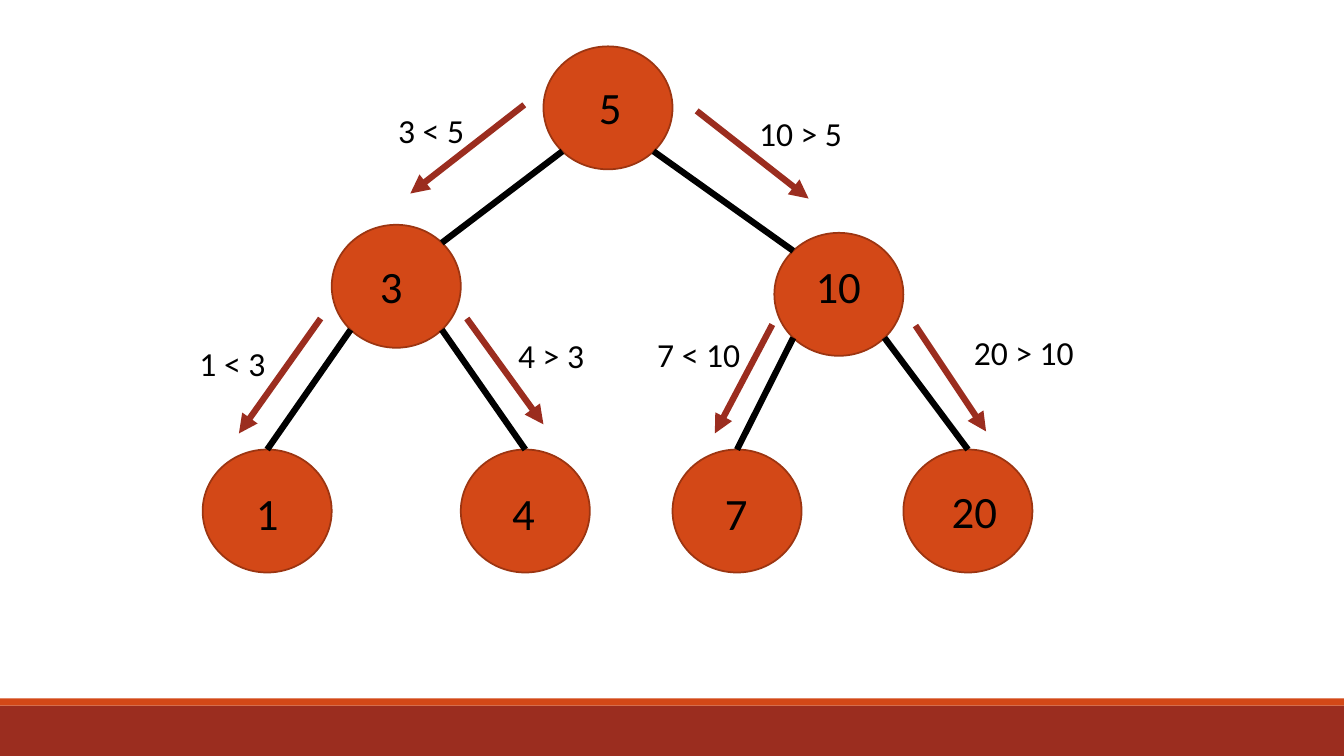
from dataclasses import dataclass
from math import sqrt

from lxml.etree import SubElement
from pptx import Presentation
from pptx.dml.color import RGBColor
from pptx.enum.shapes import MSO_CONNECTOR, MSO_SHAPE
from pptx.enum.text import MSO_AUTO_SIZE
from pptx.oxml.ns import qn
from pptx.util import Inches, Pt

ORANGE, DARK_RED, OUTLINE, BLACK = "D34817", "9B2D1F", "9C3511", "000000"
NODE_WIDTH, NODE_HEIGHT = 1.28, 1.22
Point = tuple[float, float]


@dataclass
class Node:
    key: str
    left: float
    top: float
    key_at: Point

    def point(self, across: float, down: float) -> Point:
        """Point at the given multiples of the radii from the centre."""
        return (self.left + NODE_WIDTH / 2 * (1 + across),
                self.top + NODE_HEIGHT / 2 * (1 + down))


@dataclass
class Step:
    """One branch of the tree with its comparison and search arrow."""
    parent: str
    child: str
    comparison: str
    comparison_at: Point
    arrow_start: Point
    arrow_end: Point
    comparison_width: float = 1.13


LEAF_TOP = 4.46
NODES = [
    Node("5", 5.39, 0.46, (5.84, 0.74)),
    Node("3", 3.29, 2.23, (3.67, 2.52)),
    Node("10", 7.68, 2.31, (7.99, 2.52)),
    Node("4", 4.57, LEAF_TOP, (4.98, 4.77)),
    Node("1", 2.01, LEAF_TOP, (2.44, 4.77)),
    Node("7", 6.67, LEAF_TOP, (7.09, 4.77)),
    Node("20", 8.96, LEAF_TOP, (9.34, 4.75)),
]
STEPS = [
    Step("5", "3", "3 < 5", (3.85, 1.04), (5.2, 1.04), (4.07, 1.92)),
    Step("5", "10", "10 > 5", (7.43, 1.07), (6.91, 1.1), (8.02, 1.97)),
    Step("3", "1", "1 < 3", (1.88, 3.35), (3.18, 3.16), (2.37, 4.3)),
    Step("3", "4", "4 > 3", (5.04, 3.27), (4.63, 3.16), (5.39, 4.21)),
    Step("10", "7", "7 < 10", (6.42, 3.26), (7.66, 3.22), (7.09, 4.3)),
    Step("10", "20", "20 > 10", (9.56, 3.24), (9.08, 3.23), (9.78, 4.28), 1.34),
]

presentation = Presentation()
presentation.slide_width, presentation.slide_height = Inches(13.33), Inches(7.5)
slide = presentation.slides.add_slide(presentation.slide_layouts[6])


def color(value: str) -> RGBColor:
    return RGBColor.from_string(value)


def add_filled(kind: MSO_SHAPE, left: float, top: float, width: float,
               height: float, fill: str, outline: str | None = None) -> None:
    shape = slide.shapes.add_shape(
        kind, Inches(left), Inches(top), Inches(width), Inches(height))
    shape.shadow.inherit = False
    shape.fill.solid()
    shape.fill.fore_color.rgb = color(fill)
    if outline:
        shape.line.color.rgb = color(outline)
        shape.line.width = Pt(1.25)
    else:
        shape.line.fill.background()


def add_text(text: str, at: Point, *, width: float, height: float,
             size: float, font: str = "Calibri", ink: str = BLACK) -> None:
    box = slide.shapes.add_textbox(
        Inches(at[0]), Inches(at[1]), Inches(width), Inches(height))
    frame = box.text_frame
    frame.word_wrap = True
    frame.auto_size = MSO_AUTO_SIZE.SHAPE_TO_FIT_TEXT
    run = frame.paragraphs[0].add_run()
    run.text = text
    run.font.name, run.font.size = font, Pt(size)
    run.font.color.rgb = color(ink)


def add_line(start: Point, end: Point, ink: str, arrow: bool = False) -> None:
    line = slide.shapes.add_connector(
        MSO_CONNECTOR.STRAIGHT, *(Inches(value) for value in start + end))
    line.line.color.rgb = color(ink)
    line.line.width = Pt(4.5)
    if arrow:
        SubElement(line.line._get_or_add_ln(), qn("a:tailEnd"), type="triangle")
    SubElement(line._element.spPr, qn("a:effectLst"))


# Footer bars
add_filled(MSO_SHAPE.RECTANGLE, 0, 7, 13.33, 0.5, DARK_RED)
add_filled(MSO_SHAPE.RECTANGLE, 0, 6.93, 13.33, 0.07, ORANGE)

# Tree nodes
for node in NODES:
    add_filled(MSO_SHAPE.OVAL, node.left, node.top, NODE_WIDTH, NODE_HEIGHT,
               ORANGE, OUTLINE)

# Branches leave a parent diagonally; leaves are met at the top
node_by_key = {node.key: node for node in NODES}
diagonal = sqrt(0.5)
for step in STEPS:
    parent, child = node_by_key[step.parent], node_by_key[step.child]
    side = diagonal if child.left > parent.left else -diagonal
    child_end = (child.point(0, -1) if child.top == LEAF_TOP
                 else child.point(-side, -diagonal))
    add_line(parent.point(side, diagonal), child_end, BLACK)

# Keys
for node in NODES:
    add_text(node.key, node.key_at, width=1.55, height=0.64, size=32)

# Search arrows and comparisons
for step in STEPS:
    add_line(step.arrow_start, step.arrow_end, DARK_RED, arrow=True)
for step in STEPS:
    add_text(step.comparison, step.comparison_at,
             width=step.comparison_width, height=0.5, size=24)

presentation.save("out.pptx")
